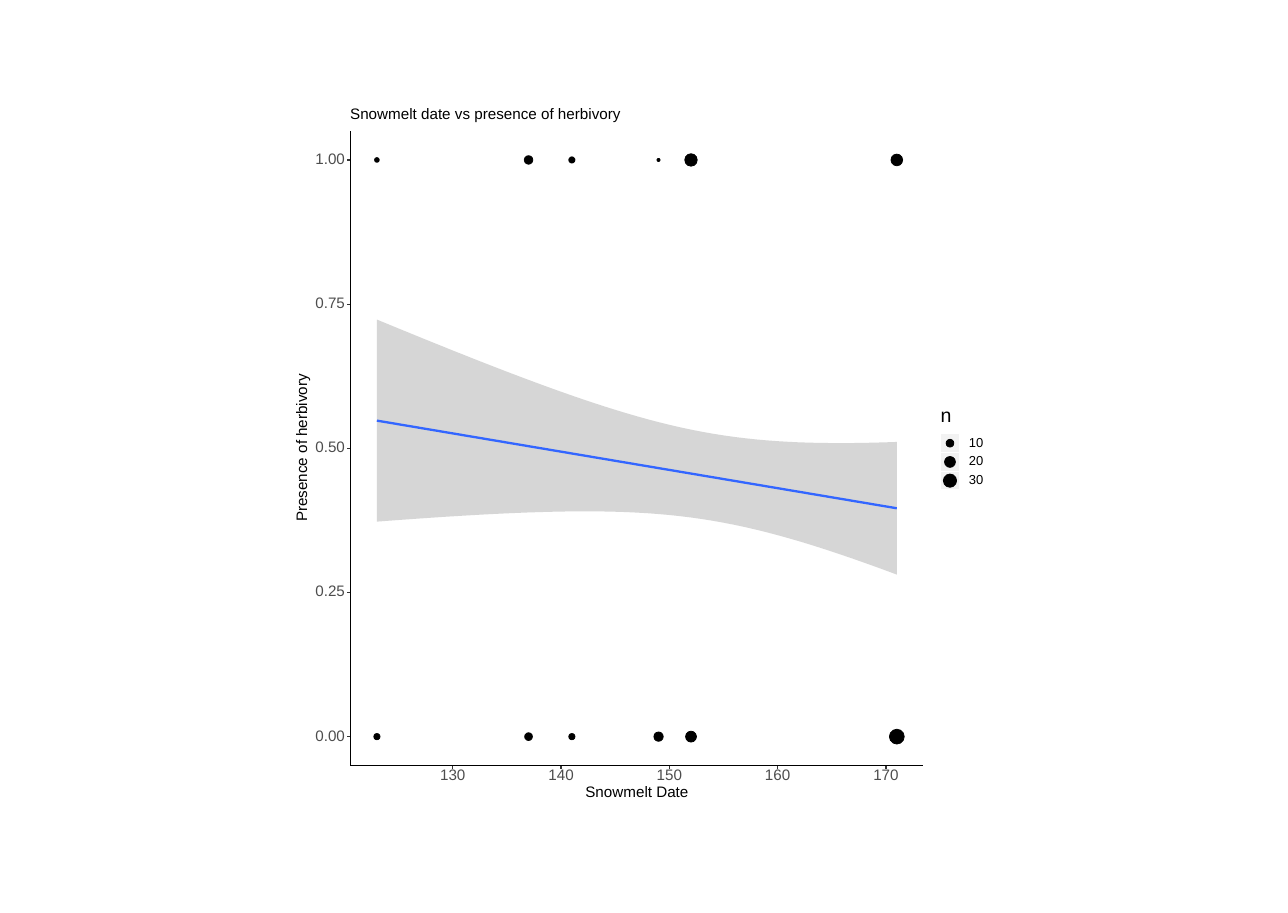
from dataclasses import dataclass
from math import hypot

from lxml.etree import SubElement
from pptx import Presentation
from pptx.dml.color import RGBColor
from pptx.enum.shapes import MSO_CONNECTOR, MSO_SHAPE
from pptx.enum.text import MSO_ANCHOR, PP_ALIGN
from pptx.oxml.ns import qn
from pptx.util import Inches, Pt


@dataclass(frozen=True)
class Theme:
    font: str = "Arial"
    black: str = "000000"
    tick: str = "333333"
    label: str = "4D4D4D"
    band: str = "999999"
    fit: str = "3366FF"
    key: str = "F2F2F2"
    white: str = "FFFFFF"
    body: int = 14
    legend_title: int = 18
    legend_label: int = 12
    page_width: float = 0.75
    axis_width: float = 1.07
    fit_width: float = 2.13
    dot_width: float = 0.71


FIRST_DAY, LAST_DAY = 123, 171
FIT_START, FIT_END = 54.8, 39.6
MEAN_DAY, BAND_CORE, BAND_SPREAD = 154, 7.55, 0.51
AXIS_X, AXIS_Y, AXIS_TOP, AXIS_RIGHT = 4.49, 9.81, 1.68, 11.82
TICK = 0.04
TEXT_SLACK = 0.03
DOTS = [
    (123, 0.08, 0.06),
    (137, 0.1, 0.11),
    (141, 0.08, 0.08),
    (149, 0.12, 0.04),
    (152, 0.14, 0.16),
    (171, 0.19, 0.15),
]
LEGEND = [("10", 0.1), ("20", 0.14), ("30", 0.17)]


def day_x(day):
    return 5.8 + (day - 130) * 5.55 / 40


def share_y(percent):
    return 9.44 - percent * 7.39 / 100


def fit_at(day):
    return FIT_START + (FIT_END - FIT_START) * (day - FIRST_DAY) / (LAST_DAY - FIRST_DAY)


def half_band(day):
    return hypot(BAND_CORE, BAND_SPREAD * (day - MEAN_DAY))


class Plot:
    def __init__(self, s, theme):
        self.s = s
        self.theme = theme

    def paint(self, shape, fill, line=None, width=0):
        shape.shadow.inherit = False
        shape.fill.solid()
        shape.fill.fore_color.rgb = RGBColor.from_string(fill)
        if line:
            shape.line.color.rgb = RGBColor.from_string(line)
            shape.line.width = Pt(width)
        else:
            shape.line.fill.background()

    def text(self, text, x, y, w, h, size=None, color=None, rotation=0):
        size = size or self.theme.body
        tb = self.s.shapes.add_textbox(
            Inches(x - TEXT_SLACK), Inches(y), Inches(w + 2 * TEXT_SLACK), Inches(h)
        )
        tb.rotation = rotation
        tf = tb.text_frame
        tf.margin_left = tf.margin_right = tf.margin_top = tf.margin_bottom = 0
        tf.vertical_anchor = MSO_ANCHOR.MIDDLE
        tf.word_wrap = False
        p = tf.paragraphs[0]
        p.alignment = PP_ALIGN.CENTER
        p.line_spacing = Pt(size)
        r = p.add_run()
        r.text = text
        r.font.name = self.theme.font
        r.font.size = Pt(size)
        r.font.color.rgb = RGBColor.from_string(color or self.theme.black)

    def line(self, x1, y1, x2, y2, color, width):
        c = self.s.shapes.add_connector(
            MSO_CONNECTOR.STRAIGHT, Inches(x1), Inches(y1), Inches(x2), Inches(y2)
        )
        c.line.color.rgb = RGBColor.from_string(color)
        c.line.width = Pt(width)
        SubElement(c._element.spPr, qn("a:effectLst"))

    def shape(self, kind, x, y, w, h, fill, line=None, width=0):
        sp = self.s.shapes.add_shape(kind, Inches(x), Inches(y), Inches(w), Inches(h))
        self.paint(sp, fill, line, width)

    def rect(self, x, y, w, h, fill, line=None, width=0):
        self.shape(MSO_SHAPE.RECTANGLE, x, y, w, h, fill, line, width)

    def dot(self, x, y, d):
        t = self.theme
        self.shape(MSO_SHAPE.OVAL, x - d / 2, y - d / 2, d, d, t.black, t.black, t.dot_width)

    def area(self, points, fill, opacity):
        points = [(Inches(x), Inches(y)) for x, y in points]
        builder = self.s.shapes.build_freeform(*points[0])
        builder.add_line_segments(points[1:], close=True)
        sp = builder.convert_to_shape()
        self.paint(sp, fill)
        color = sp._element.spPr.find(qn("a:solidFill"))[0]
        SubElement(color, qn("a:alpha"), val=str(opacity * 1000))


def draw_page(plot):
    t = plot.theme
    for width in (t.page_width, t.axis_width):
        plot.rect(3.75, 1.35, 9, 9, t.white, t.white, width)


def draw_fit(plot):
    t = plot.theme
    days = range(FIRST_DAY, LAST_DAY + 1)
    upper = [(day_x(d), share_y(fit_at(d) + half_band(d))) for d in days]
    lower = [(day_x(d), share_y(fit_at(d) - half_band(d))) for d in days]
    plot.area(upper + lower[::-1], t.band, 40)
    plot.line(day_x(FIRST_DAY), share_y(FIT_START), day_x(LAST_DAY), share_y(FIT_END),
              t.fit, t.fit_width)


def draw_dots(plot):
    for day, absent, present in DOTS:
        plot.dot(day_x(day), share_y(0), absent)
        plot.dot(day_x(day), share_y(100), present)


def draw_axes(plot):
    t = plot.theme
    plot.line(AXIS_X, AXIS_Y, AXIS_X, AXIS_TOP, t.black, t.axis_width)
    for percent in range(0, 101, 25):
        y = share_y(percent)
        plot.text(f"{percent / 100:.2f}", 4.04, y - 0.07, 0.38, 0.14, color=t.label)
        plot.line(AXIS_X - TICK, y, AXIS_X, y, t.tick, t.axis_width)
    plot.line(AXIS_X, AXIS_Y, AXIS_RIGHT, AXIS_Y, t.black, t.axis_width)
    for day in range(130, 171, 10):
        x = day_x(day)
        plot.line(x, AXIS_Y + TICK, x, AXIS_Y, t.tick, t.axis_width)
        plot.text(str(day), x - 0.16, 9.87, 0.32, 0.14, color=t.label)
    plot.text("Snowmelt Date", 7.5, 10.09, 1.32, 0.14)
    plot.text("Presence of herbivory", 2.93, 5.65, 1.89, 0.18, rotation=270)


def draw_legend(plot):
    t = plot.theme
    x, top, side = 12.05, 5.56, 0.24
    plot.rect(11.97, 5.13, 0.7, 1.23, t.white)
    plot.text("n", x, 5.28, 0.14, 0.13, size=t.legend_title)
    for i, (count, d) in enumerate(LEGEND):
        y = top + i * side
        plot.rect(x, y, side, side, t.key, t.white, t.axis_width)
        plot.dot(x + side / 2, y + side / 2, d)
        plot.text(count, 12.41, y + 0.06, 0.19, 0.12, size=t.legend_label)


def main():
    prs = Presentation()
    prs.slide_width, prs.slide_height = Inches(16.5), Inches(11.7)
    s = prs.slides.add_slide(prs.slide_layouts[6])
    plot = Plot(s, Theme())
    draw_page(plot)
    draw_fit(plot)
    draw_dots(plot)
    draw_axes(plot)
    draw_legend(plot)
    plot.text("Snowmelt date vs presence of herbivory", AXIS_X, 1.38, 3.46, 0.18)
    prs.save("out.pptx")


if __name__ == "__main__":
    main()
